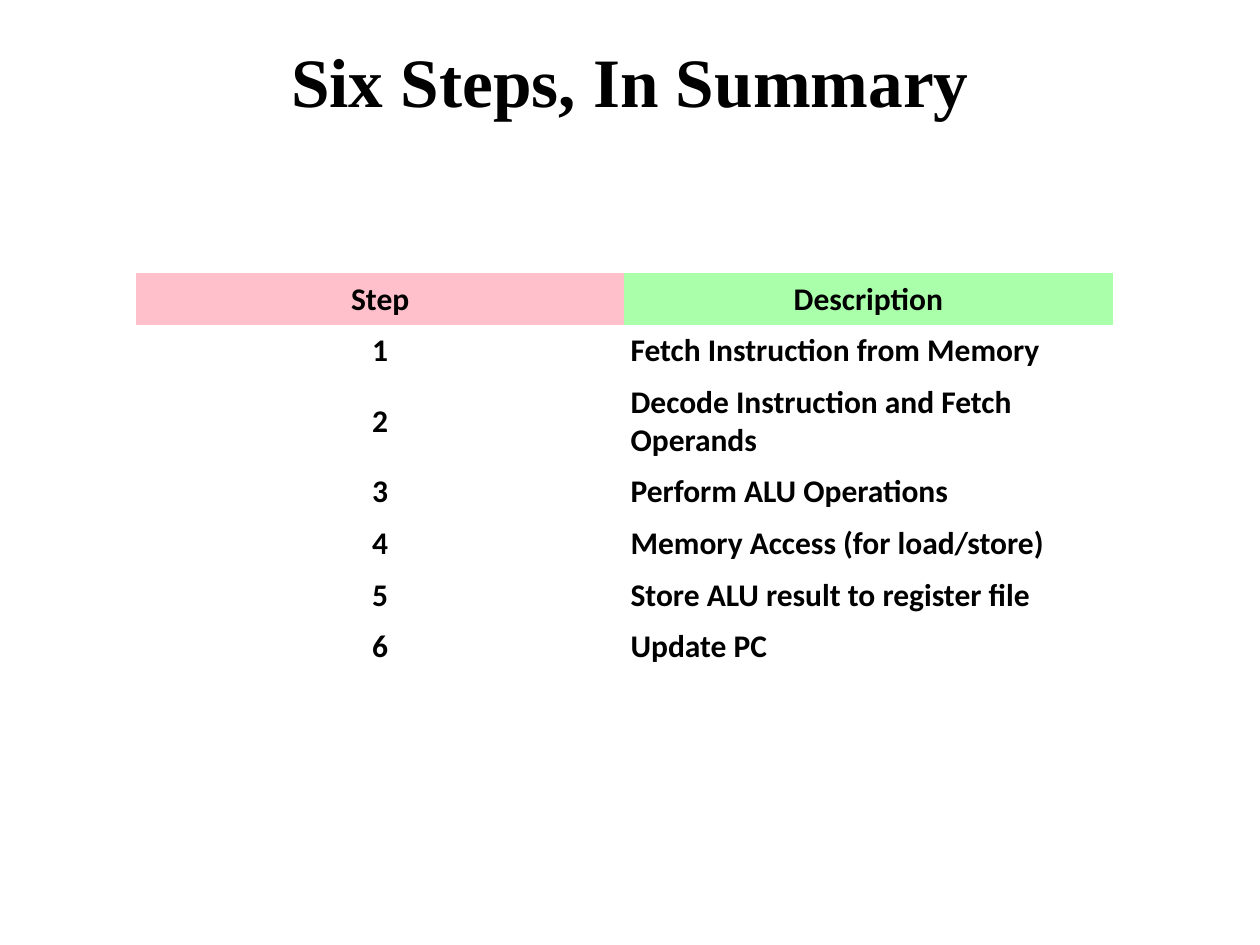
from pptx import Presentation
from pptx.dml.color import RGBColor
from pptx.enum.text import MSO_ANCHOR, PP_ALIGN
from pptx.util import Inches, Pt

COLORS = {"text": "000000", "step": "FFC0CB", "description": "AAFFAA", "body": "FFFFFF"}
NO_STYLE_NO_GRID = "{2D5ABB26-0587-4C30-8999-92F81FD0307C}"

HEADERS = ("Step", "Description")
STEPS = (
    "Fetch Instruction from Memory",
    "Decode Instruction and Fetch Operands",
    "Perform ALU Operations",
    "Memory Access (for load/store)",
    "Store ALU result to register file",
    "Update PC",
)


class SlideBuilder:
    """Holds the text styles and the current slide."""

    title_style = {"name": "Times New Roman", "size": Pt(39.6), "bold": True}
    table_style = {"name": "Calibri", "size": Pt(18), "bold": True}

    def __init__(self, page):
        self.page = page

    def add_text(self, frame, text, style, align):
        paragraph = frame.paragraphs[0]
        paragraph.alignment = align
        span = paragraph.add_run()
        span.text = text
        for name, value in style.items():
            setattr(span.font, name, value)
        span.font.color.rgb = RGBColor.from_string(COLORS["text"])

    def title(self, text, left, top, width, height):
        box = self.page.shapes.add_textbox(*map(Inches, (left, top, width, height)))
        frame = box.text_frame
        layout = {"word_wrap": True, "vertical_anchor": MSO_ANCHOR.TOP,
                  "margin_top": 0, "margin_bottom": 0}
        for name, value in layout.items():
            setattr(frame, name, value)
        self.add_text(frame, text, self.title_style, PP_ALIGN.CENTER)

    def cell(self, cell, text, fill, align):
        layout = {"vertical_anchor": MSO_ANCHOR.MIDDLE}
        for side in ("left", "top", "right", "bottom"):
            layout[f"margin_{side}"] = Inches(0.05)
        for name, value in layout.items():
            setattr(cell, name, value)
        cell.fill.solid()
        cell.fill.fore_color.rgb = RGBColor.from_string(COLORS[fill])
        self.add_text(cell.text_frame, text, self.table_style, align)

    def table(self, headers, steps, left, top, width, row_height):
        rows = [headers] + [(str(number), step) for number, step in enumerate(steps, 1)]
        frame = self.page.shapes.add_table(
            len(rows), len(headers), Inches(left), Inches(top),
            Inches(width), Inches(row_height * len(rows)))
        table = frame.table
        table.first_row = table.horz_banding = False
        # Plain table without style lines
        table._tbl.tblPr.find("{*}tableStyleId").text = NO_STYLE_NO_GRID
        for row_index, row in enumerate(rows):
            for column_index, text in enumerate(row):
                is_header = row_index == 0
                fill = text.lower() if is_header else "body"
                centred = is_header or column_index == 0
                align = PP_ALIGN.CENTER if centred else PP_ALIGN.LEFT
                self.cell(table.cell(row_index, column_index), text, fill, align)
        return table


def main():
    deck = Presentation()
    deck.slide_width, deck.slide_height = Inches(10), Inches(7.5)
    builder = SlideBuilder(deck.slides.add_slide(deck.slide_layouts[6]))

    # Title
    builder.title("Six Steps, In Summary", 0.5, 0.3, 9, 1.25)

    # Step table; the decode step wraps onto two lines
    table = builder.table(HEADERS, STEPS, 1.08, 2.17, 7.75, 0.41)
    table.rows[2].height = Inches(0.71)

    deck.save("out.pptx")


if __name__ == "__main__":
    main()
